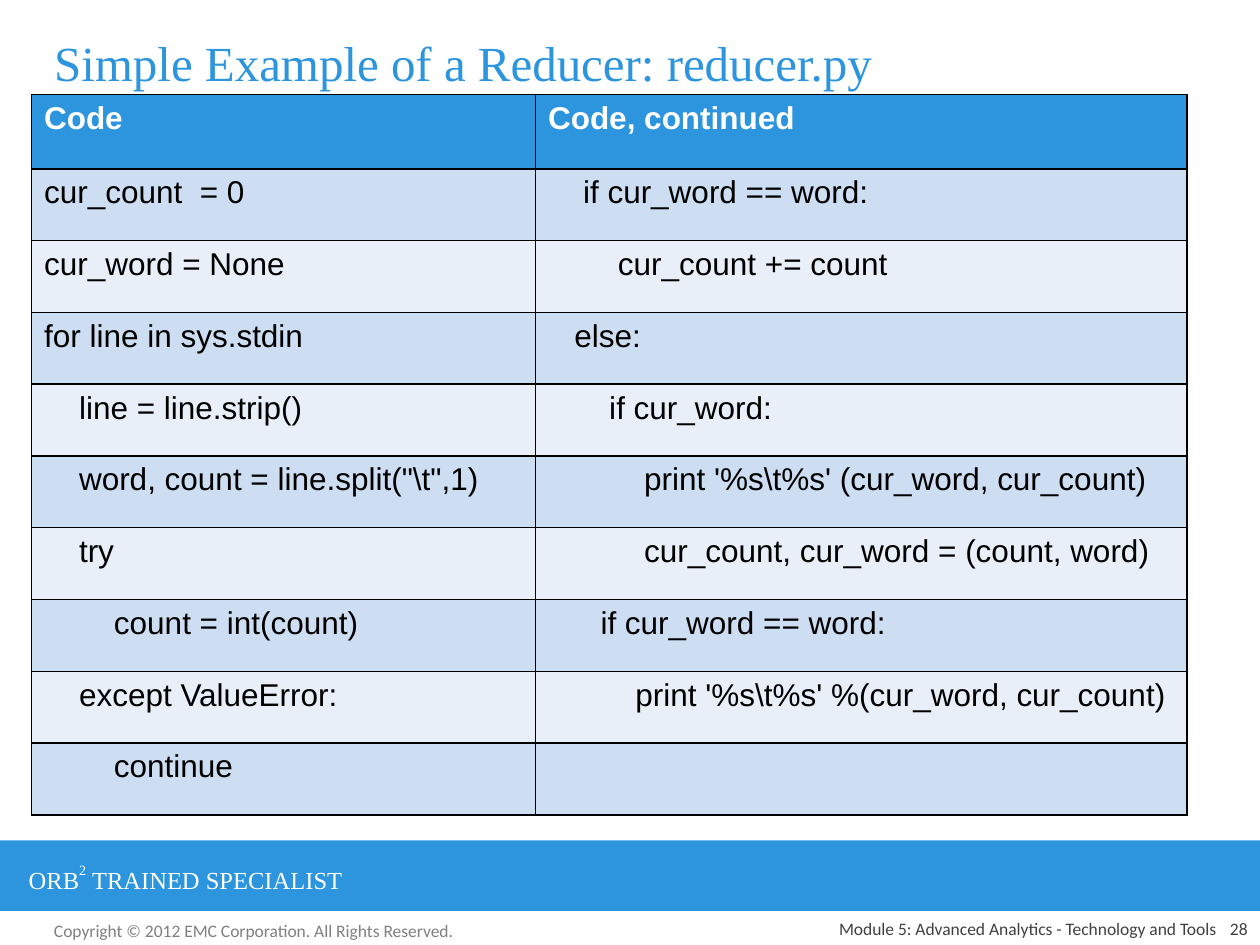
from itertools import zip_longest

from lxml import etree
from pptx import Presentation
from pptx.dml.color import RGBColor
from pptx.enum.shapes import MSO_SHAPE
from pptx.enum.text import MSO_ANCHOR, PP_ALIGN
from pptx.oxml.ns import qn
from pptx.util import Inches, Pt

THEME = {
    "blue": "2C95DD", "odd": "CDDDF2", "even": "E8EFF9",
    "white": "FFFFFF", "black": "000000", "grey": "808080", "dark": "404040",
    "serif": "Times New Roman", "code": "Arial", "small": "Calibri",
    "title_size": 28, "code_size": 18, "brand_size": 14, "small_size": 10,
}

TITLE = "Simple Example of a Reducer: reducer.py"
HEADINGS = ("Code", "Code, continued")
LEFT_CODE = [
    "cur_count  = 0",
    "cur_word = None",
    "for line in sys.stdin",
    "    line = line.strip()",
    r'    word, count = line.split("\t",1)',
    "    try",
    "        count = int(count)",
    "    except ValueError:",
    "        continue",
]
RIGHT_CODE = [
    "    if cur_word == word:",
    "        cur_count += count",
    "   else:",
    "       if cur_word:",
    r"           print '%s\t%s' (cur_word, cur_count)",
    "           cur_count, cur_word = (count, word)",
    "      if cur_word == word:",
    r"          print '%s\t%s' %(cur_word, cur_count)",
]
BRAND = ("ORB", "2", " TRAINED SPECIALIST")
COPYRIGHT = "Copyright © 2012 EMC Corporation. All Rights Reserved."
MODULE = "Module 5: Advanced Analytics - Technology and Tools"
PAGE = "28"

COLUMN_WIDTHS = (4, 5.17)
HEADER_HEIGHT, ROW_HEIGHT = 0.59, 0.57


def color(name):
    return RGBColor.from_string(THEME[name])


def style(paragraph, face, size, ink, bold=False):
    font = paragraph.font
    font.name = THEME[face]
    font.size = Pt(THEME[size])
    font.color.rgb = color(ink)
    font.bold = bold


def add_text(slide, box, parts, face, size, ink,
             align=PP_ALIGN.LEFT, anchor=MSO_ANCHOR.TOP):
    frame = slide.shapes.add_textbox(*map(Inches, box)).text_frame
    frame.word_wrap = True
    frame.vertical_anchor = anchor
    paragraph = frame.paragraphs[0]
    paragraph.alignment = align
    for part in parts:
        paragraph.add_run().text = part
    style(paragraph, face, size, ink)
    return paragraph


def add_borders(cell):
    properties = cell._tc.get_or_add_tcPr()
    for position, side in enumerate(("a:lnL", "a:lnR", "a:lnT", "a:lnB")):
        line = etree.Element(qn(side), w=str(Pt(1)))
        fill = etree.SubElement(line, qn("a:solidFill"))
        etree.SubElement(fill, qn("a:srgbClr"), val=THEME["black"])
        properties.insert(position, line)


def add_footer(slide):
    band = slide.shapes.add_shape(
        MSO_SHAPE.RECTANGLE, Inches(0), Inches(6.67), Inches(10), Inches(0.56))
    band.shadow.inherit = False
    band.fill.solid()
    band.fill.fore_color.rgb = color("blue")
    band.line.fill.background()

    brand = add_text(slide, (0.13, 6.79, 3.7, 0.34), BRAND,
                     "serif", "brand_size", "white")
    brand.runs[1].font._element.set("baseline", "56000")
    add_text(slide, (0.33, 7.25, 3.42, 0.27), [COPYRIGHT],
             "small", "small_size", "grey")
    for box, words in (((9.5, 7.25, 0.5, 0.25), PAGE),
                       ((5.17, 7.25, 4.58, 0.25), MODULE)):
        add_text(slide, box, [words], "small", "small_size", "dark",
                 PP_ALIGN.RIGHT, MSO_ANCHOR.BOTTOM)


def add_code_table(slide):
    rows = [HEADINGS, *zip_longest(LEFT_CODE, RIGHT_CODE, fillvalue="")]
    height = HEADER_HEIGHT + ROW_HEIGHT * (len(rows) - 1)
    table = slide.shapes.add_table(
        len(rows), len(COLUMN_WIDTHS), Inches(0.25), Inches(0.75),
        Inches(sum(COLUMN_WIDTHS)), Inches(height)).table
    for column, width in zip(table.columns, COLUMN_WIDTHS):
        column.width = Inches(width)
    for index, row in enumerate(rows):
        header = index == 0
        table.rows[index].height = Inches(HEADER_HEIGHT if header else ROW_HEIGHT)
        shade = "blue" if header else "odd" if index % 2 else "even"
        for cell, code in zip(table.rows[index].cells, row):
            cell.text = code
            cell.fill.solid()
            cell.fill.fore_color.rgb = color(shade)
            style(cell.text_frame.paragraphs[0], "code", "code_size",
                  "white" if header else "black", header)
            add_borders(cell)


def add_title(slide):
    title = slide.shapes.title
    title.left, title.top = Inches(0.33), Inches(0.08)
    title.width, title.height = Inches(9.25), Inches(0.83)
    title.text_frame.text = TITLE
    title.text_frame.vertical_anchor = MSO_ANCHOR.MIDDLE
    heading = title.text_frame.paragraphs[0]
    heading.alignment = PP_ALIGN.LEFT
    style(heading, "serif", "title_size", "blue")


def main():
    deck = Presentation()
    deck.slide_width, deck.slide_height = Inches(10), Inches(7.5)
    slide = deck.slides.add_slide(deck.slide_layouts[5])
    add_title(slide)
    add_footer(slide)
    add_code_table(slide)
    deck.save("out.pptx")


if __name__ == "__main__":
    main()
